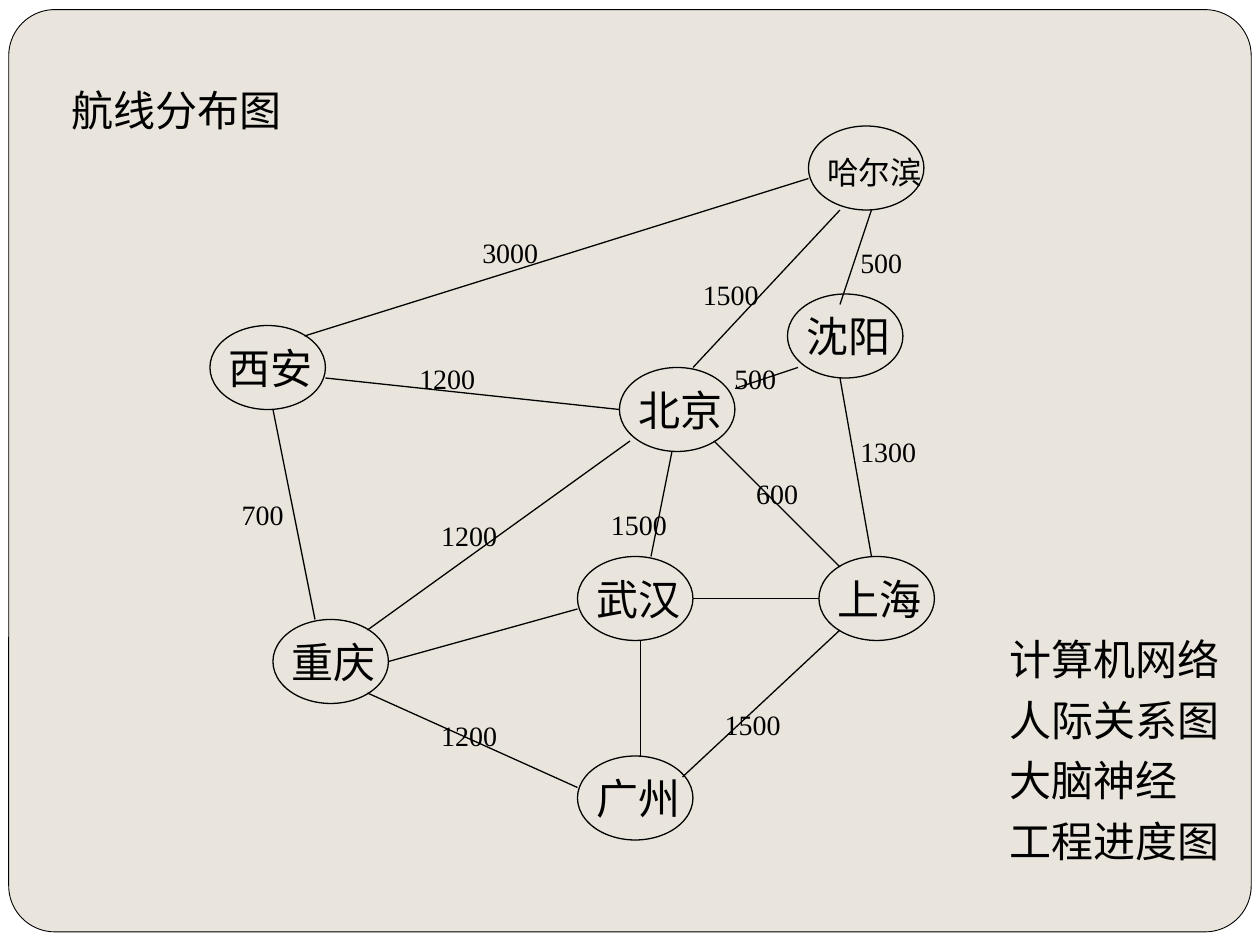
"""Draw a map of air routes between cities as a weighted graph."""
from dataclasses import dataclass

from lxml import etree
from pptx import Presentation
from pptx.dml.color import RGBColor
from pptx.enum.shapes import MSO_CONNECTOR, MSO_SHAPE
from pptx.enum.text import MSO_AUTO_SIZE
from pptx.oxml.ns import qn
from pptx.shapes.autoshape import Shape
from pptx.shapes.connector import Connector
from pptx.shapes.group import GroupShape
from pptx.util import Pt

STRAIGHT = MSO_CONNECTOR.STRAIGHT
ELLIPSE = MSO_SHAPE.OVAL
ROUNDED = MSO_SHAPE.ROUNDED_RECTANGLE
FIT_SHAPE = MSO_AUTO_SIZE.SHAPE_TO_FIT_TEXT
COLOURS = {"ink": "000000", "paper": "E9E5DC", "edge": "FFFFFF"}
FONT = "Times New Roman"
CITY_WIDTH, CITY_HEIGHT = 66, 48
SIDE_INSETS = 14.4


@dataclass(frozen=True)
class City:
    name: str
    left: float
    top: float
    size: float = 24
    drop: float = 6


@dataclass(frozen=True)
class Route:
    x1: float
    y1: float
    x2: float
    y2: float


@dataclass(frozen=True)
class Distance:
    text: str
    left: float
    top: float


CITIES = [
    City("北京", 354, 210),
    City("沈阳", 450, 168),
    City("哈尔滨", 462, 72, 18, 12),
    City("上海", 468, 318),
    City("武汉", 330, 318),
    City("广州", 330, 432),
    City("重庆", 156, 354),
    City("西安", 120, 186),
]
ROUTES = [
    Route(480, 120, 396, 210),
    Route(456, 210, 420, 222),
    Route(498, 120, 480, 174),
    Route(462, 102, 174, 192),
    Route(186, 216, 354, 234),
    Route(156, 234, 180, 354),
    Route(360, 252, 210, 360),
    Route(222, 378, 330, 348),
    Route(384, 258, 372, 318),
    Route(366, 366, 366, 432),
    Route(210, 396, 330, 450),
    Route(480, 216, 498, 318),
    Route(396, 342, 468, 342),
    Route(480, 360, 390, 444),
    Route(408, 252, 480, 324),
]
DISTANCES = [
    Distance("3000", 268.5, 131),
    Distance("1200", 232.5, 203),
    Distance("700", 131, 281),
    Distance("1200", 245, 407),
    Distance("1200", 245, 293),
    Distance("1500", 342, 286.5),
    Distance("600", 425, 268.5),
    Distance("1500", 407, 401),
    Distance("1300", 484.5, 245),
    Distance("500", 484.5, 137),
    Distance("1500", 394.5, 155),
    Distance("500", 412.5, 203),
]
APPLICATIONS = ["计算机网络", "人际关系图", "大脑神经", "工程进度图"]


def colour(name: str) -> RGBColor:
    return RGBColor.from_string(COLOURS[name])


def set_outline(item: Shape | Connector, width: float) -> None:
    item.line.color.rgb = colour("ink")
    item.line.width = Pt(width)


def add_span(para, text: str, size: float) -> None:
    span = para.add_run()
    span.text = text
    span.font.size = Pt(size)
    span.font.name = FONT
    span.font.color.rgb = colour("ink")


def add_label(shapes, text: str, left: float, top: float, size: float, letter_width: float) -> None:
    width = len(text) * letter_width + SIDE_INSETS
    box = shapes.add_textbox(Pt(left), Pt(top), Pt(width), Pt(size * 1.2 + 7.2))
    box.text_frame.word_wrap = False
    box.text_frame.auto_size = FIT_SHAPE
    add_span(box.text_frame.paragraphs[0], text, size)


def draw_city(graph: GroupShape, city: City) -> None:
    node = graph.shapes.add_shape(
        ELLIPSE, Pt(city.left), Pt(city.top), Pt(CITY_WIDTH), Pt(CITY_HEIGHT)
    )
    node.shadow.inherit = False
    node.fill.background()
    set_outline(node, 0.75)
    add_label(graph.shapes, city.name, city.left + 3.6, city.top + city.drop, city.size, city.size)


def draw_route(graph: GroupShape, route: Route) -> None:
    line = graph.shapes.add_connector(
        STRAIGHT, Pt(route.x1), Pt(route.y1), Pt(route.x2), Pt(route.y2)
    )
    set_outline(line, 0.75)
    etree.SubElement(line._element.spPr, qn("a:effectLst"))


def draw_applications(shapes) -> None:
    box = shapes.add_textbox(Pt(570), Pt(350), Pt(134.4), Pt(148))
    frame = box.text_frame
    frame.word_wrap = True
    frame.auto_size = FIT_SHAPE
    for index, text in enumerate(APPLICATIONS):
        para = frame.add_paragraph() if index else frame.paragraphs[0]
        para.line_spacing = 1.2 if index else 1.3
        add_span(para, text, 24)


def main() -> None:
    deck = Presentation()
    deck.slide_width, deck.slide_height = Pt(720), Pt(540)
    page = deck.slides.add_slide(deck.slide_layouts[6])
    page.background.fill.solid()
    page.background.fill.fore_color.rgb = colour("edge")

    panel = page.shapes.add_shape(ROUNDED, Pt(5), Pt(5.5), Pt(710), Pt(527))
    panel.adjustments[0] = 0.05
    panel.shadow.inherit = False
    panel.fill.solid()
    panel.fill.fore_color.rgb = colour("paper")
    set_outline(panel, 0.5)

    graph = page.shapes.add_group_shape()
    for city in CITIES:
        draw_city(graph, city)
    for route in ROUTES:
        draw_route(graph, route)
    for distance in DISTANCES:
        add_label(graph.shapes, distance.text, distance.left, distance.top, 16, 8)

    add_label(page.shapes, "航线分布图", 34, 44.5, 24, 24)
    draw_applications(page.shapes)
    deck.save("out.pptx")


if __name__ == "__main__":
    main()
